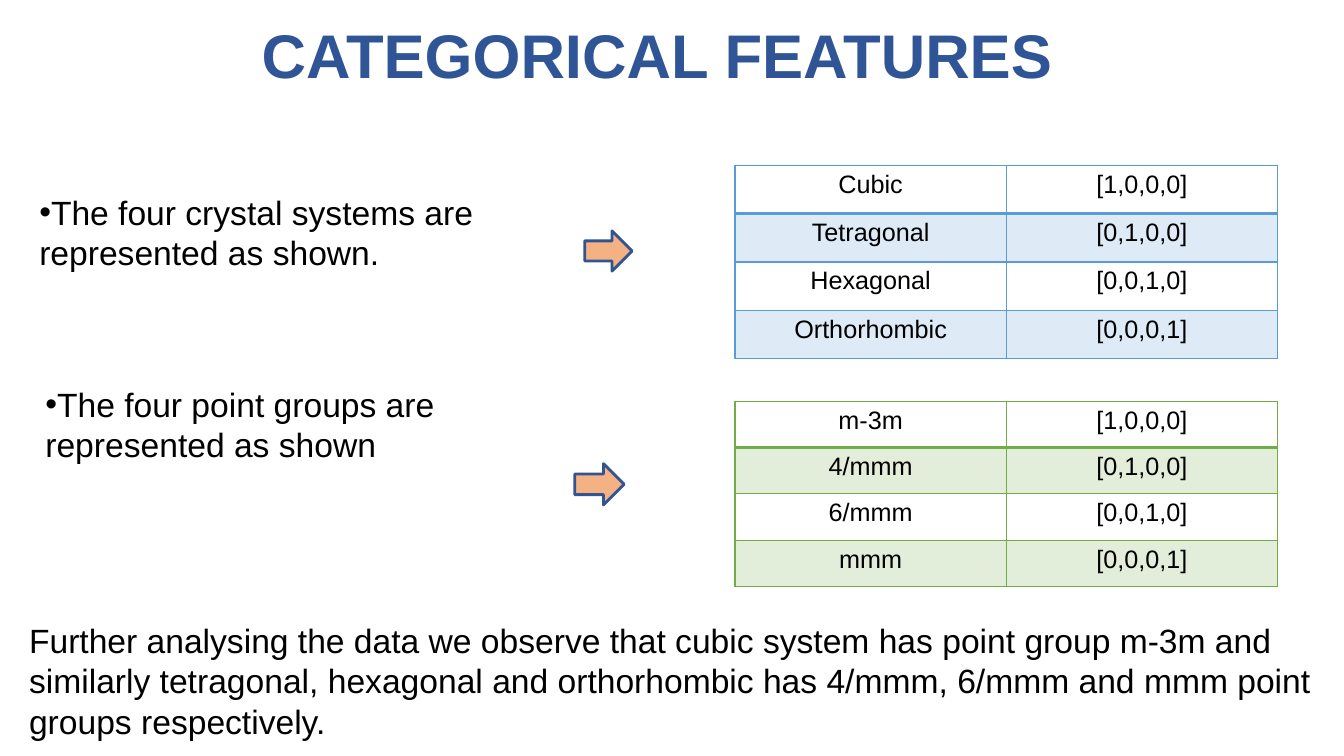
from lxml import etree
from pptx import Presentation
from pptx.dml.color import RGBColor
from pptx.enum.shapes import MSO_SHAPE
from pptx.enum.text import MSO_ANCHOR, MSO_AUTO_SIZE, PP_ALIGN
from pptx.oxml.ns import qn
from pptx.util import Inches, Pt

CENTER, LEFT = PP_ALIGN.CENTER, PP_ALIGN.LEFT
MIDDLE, TOP = MSO_ANCHOR.MIDDLE, MSO_ANCHOR.TOP
FIT_SHAPE = MSO_AUTO_SIZE.SHAPE_TO_FIT_TEXT
RIGHT_ARROW = MSO_SHAPE.RIGHT_ARROW

COLORS = {
    "title": "2F5597",
    "text": "000000",
    "arrow": "F4B183",
    "arrow_line": "325491",
    "crystal": "5B9BD5",
    "point_group": "70AD47",
}


def format_text(frame, text, size, color="text", align=LEFT, bold=False):
    frame.text = text
    paragraph = frame.paragraphs[0]
    paragraph.alignment = align
    font = paragraph.runs[0].font
    font.name, font.size, font.bold = "Arial", Pt(size), bold
    font.color.rgb = RGBColor.from_string(COLORS[color])
    return paragraph


def add_text(box, text, size, inset=True, anchor=TOP, **style):
    frame = slide.shapes.add_textbox(*map(Inches, box)).text_frame
    frame.word_wrap = True
    frame.vertical_anchor = anchor
    if not inset:
        frame.margin_left = frame.margin_right = 0
        frame.margin_top = frame.margin_bottom = 0
    return format_text(frame, text, size, **style)


prs = Presentation()
prs.slide_width, prs.slide_height = Inches(13.33), Inches(7.5)
slide = prs.slides.add_slide(prs.slide_layouts[6])

add_text((1.52, -0.03, 10, 1.23), "CATEGORICAL FEATURES", 44, inset=False,
         anchor=MIDDLE, color="title", align=CENTER, bold=True).line_spacing = 0.9

statements = [
    ((0.39, 1.9, 5.86, 1.23), "The four crystal systems are represented as shown."),
    ((0.45, 3.81, 4.19, 1.87), "The four point groups are represented as shown"),
]
for box, statement in statements:
    properties = add_text(box, statement, 24, inset=False)._p.get_or_add_pPr()
    properties.set("marL", "0")
    properties.set("indent", "0")
    etree.SubElement(properties, qn("a:buFont"), typeface="Arial")
    etree.SubElement(properties, qn("a:buChar"), char="•")

encodings = [
    ("crystal", 1.64, 0.48, ["Cubic", "Tetragonal", "Hexagonal", "Orthorhombic"]),
    ("point_group", 3.98, 0.46, ["m-3m", "4/mmm", "6/mmm", "mmm"]),
]
for accent, top, row_height, categories in encodings:
    count = len(categories)
    table = slide.shapes.add_table(count, 2, Inches(7.29), Inches(top), Inches(5.38),
                                   Inches(row_height * count)).table
    table.first_row = table.horz_banding = False
    for row, category in enumerate(categories):
        vector = ",".join(str(int(row == position)) for position in range(count))
        for column, text in enumerate([category, f"[{vector}]"]):
            cell = table.cell(row, column)
            format_text(cell.text_frame, text, 18, align=CENTER)
            cell_properties = cell._tc.get_or_add_tcPr()
            for side in ("L", "R", "T", "B"):
                heavy = (side, row) in (("B", 0), ("T", 1))
                border = etree.SubElement(cell_properties, qn(f"a:ln{side}"),
                                          w=str(Pt(2 if heavy else 1)))
                line_fill = etree.SubElement(border, qn("a:solidFill"))
                etree.SubElement(line_fill, qn("a:srgbClr"), val=COLORS[accent])
            if row % 2:
                cell.fill.solid()
                cell.fill.fore_color.rgb = RGBColor.from_string(COLORS[accent])
                tint = cell_properties.find(f"{qn('a:solidFill')}/{qn('a:srgbClr')}")
                etree.SubElement(tint, qn("a:alpha"), val="20000")
            else:
                cell.fill.background()

for box in [(5.8, 2.29, 0.47, 0.4), (5.7, 4.6, 0.49, 0.41)]:
    arrow = slide.shapes.add_shape(RIGHT_ARROW, *map(Inches, box))
    arrow.shadow.inherit = False
    arrow.fill.solid()
    arrow.fill.fore_color.rgb = RGBColor.from_string(COLORS["arrow"])
    arrow.line.color.rgb = RGBColor.from_string(COLORS["arrow_line"])
    arrow.line.width = Pt(2)

conclusion = add_text(
    (0.19, 6.1, 13.14, 1.62),
    "Further analysing the data we observe that cubic system has point group m-3m and "
    "similarly tetragonal, hexagonal and orthorhombic has 4/mmm, 6/mmm and mmm point "
    "groups respectively.", 24)
conclusion._parent.auto_size = FIT_SHAPE

prs.save("out.pptx")
